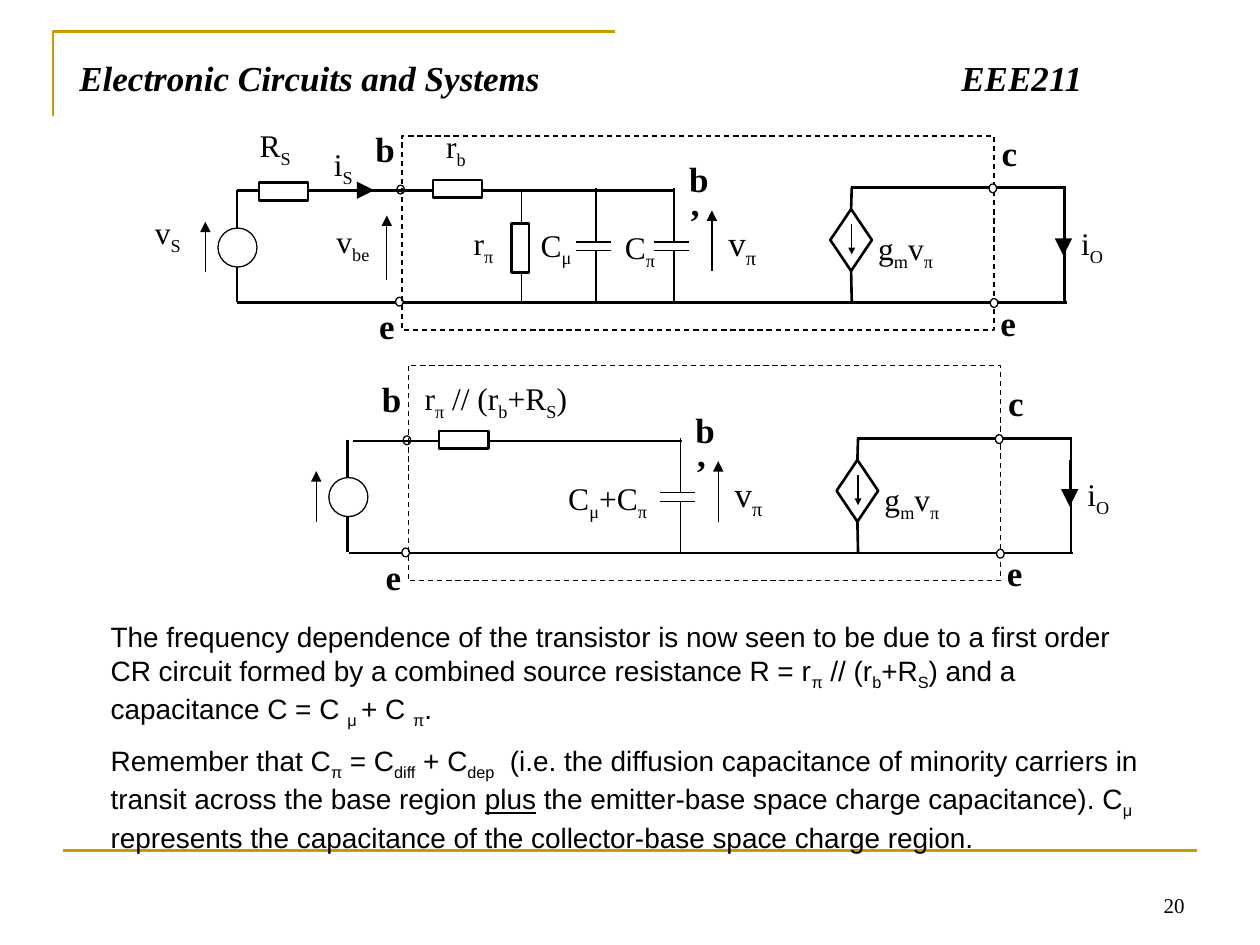
from lxml.etree import SubElement
from pptx import Presentation
from pptx.dml.color import RGBColor
from pptx.enum.dml import MSO_LINE
from pptx.enum.shapes import MSO_CONNECTOR, MSO_SHAPE
from pptx.enum.text import MSO_ANCHOR, MSO_AUTO_SIZE, PP_ALIGN
from pptx.oxml.ns import qn
from pptx.util import Inches, Pt

BLACK = RGBColor(0x00, 0x00, 0x00)
WHITE = RGBColor(0xFF, 0xFF, 0xFF)
GOLD = RGBColor(0xCC, 0x99, 0x00)
SERIF = "Times New Roman"
SANS = "Arial"
THIN, THICK = 0.75, 1.5


class CircuitSlide:
    """Draws circuit parts on a slide, measured in inches from an origin."""

    def __init__(self, slide):
        self.slide = slide
        self.origin = (0, 0)

    def place(self, x, y):
        return Inches(x + self.origin[0]), Inches(y + self.origin[1])

    def title(self, text, left, top, width, height, tab):
        shape = self.slide.shapes.title
        shape.left, shape.top = Inches(left), Inches(top)
        shape.width, shape.height = Inches(width), Inches(height)
        frame = shape.text_frame
        frame.text = text
        frame.vertical_anchor = MSO_ANCHOR.TOP
        frame.auto_size = MSO_AUTO_SIZE.NONE
        paragraph = frame.paragraphs[0]
        paragraph.alignment = PP_ALIGN.LEFT
        tabs = SubElement(paragraph._p.get_or_add_pPr(), qn("a:tabLst"))
        SubElement(tabs, qn("a:tab"), pos=str(Inches(tab)), algn="l")
        self.style(paragraph, SERIF, 20, bold=True)
        paragraph.font.italic = True

    def style(self, paragraph, name, size, bold=False):
        font = paragraph.font
        font.name, font.size, font.bold = name, Pt(size), bold
        font.color.rgb = BLACK

    def text(self, paragraphs, left, top, width, height, name=SERIF, size=18,
             bold=False, inset=0.0, space=0):
        """|x| marks a subscript and _x_ an underlined word."""
        box = self.slide.shapes.add_textbox(
            *self.place(left, top), Inches(width), Inches(height))
        frame = box.text_frame
        frame.word_wrap = True
        frame.margin_left = frame.margin_right = Inches(inset)
        frame.margin_top = frame.margin_bottom = Inches(inset / 2)
        for number, content in enumerate(paragraphs):
            paragraph = frame.add_paragraph() if number else frame.paragraphs[0]
            if number:
                paragraph.space_before = Pt(space)
            self.style(paragraph, name, size, bold)
            for level, chunk in enumerate(content.split("|")):
                for mark, piece in enumerate(chunk.split("_")):
                    if not piece:
                        continue
                    run = paragraph.add_run()
                    run.text = piece
                    if level % 2:
                        run._r.get_or_add_rPr().set("baseline", "-25000")
                    if mark % 2:
                        run.font.underline = True
        return box

    def label(self, text, left, top, width=0.42):
        self.text([text], left, top, width, 0.3)

    def node(self, text, left, top, width=0.15):
        self.text([text], left, top, width, 0.33, size=20, bold=True)

    def wire(self, x1, y1, x2, y2, weight=THICK, color=BLACK):
        line = self.slide.shapes.add_connector(
            MSO_CONNECTOR.STRAIGHT, *self.place(x1, y1), *self.place(x2, y2))
        line.line.width = Pt(weight)
        line.line.color.rgb = color
        SubElement(line._element.spPr, qn("a:effectLst"))
        return line

    def arrow(self, x1, y1, x2, y2, head="med"):
        line = self.wire(x1, y1, x2, y2, THIN)
        SubElement(line.line._get_or_add_ln(), qn("a:tailEnd"),
                   type="triangle", w=head, len=head)

    def shape(self, kind, left, top, width, height, weight=THIN, filled=True):
        shape = self.slide.shapes.add_shape(
            kind, *self.place(left, top), Inches(width), Inches(height))
        shape.shadow.inherit = False
        if filled:
            shape.fill.solid()
            shape.fill.fore_color.rgb = WHITE
        else:
            shape.fill.background()
        shape.line.color.rgb = BLACK
        shape.line.width = Pt(weight)
        return shape

    def resistor(self, x, y, width=0.39, height=0.14):
        self.shape(MSO_SHAPE.RECTANGLE, x - width / 2, y - height / 2,
                   width, height, THICK)

    def terminal(self, x, y):
        self.shape(MSO_SHAPE.OVAL, x - 0.03, y - 0.03, 0.06, 0.07)

    def capacitor(self, x):
        self.wire(x, 1.49, x, 1.92, THIN)
        self.wire(x, 1.99, x, 2.41, THIN)
        for y in (1.92, 1.99):
            self.wire(x + 0.12, y, x - 0.16, y, THIN)

    def voltage_source(self, x, top):
        self.wire(x, top, x, top + 0.89)
        self.shape(MSO_SHAPE.OVAL, x - 0.15, top + 0.3, 0.31, 0.31)
        self.arrow(x - 0.25, top + 0.65, x - 0.25, top + 0.25)

    def dashed_box(self, left, top, right, bottom):
        box = self.shape(MSO_SHAPE.RECTANGLE, left, top, right - left,
                         bottom - top, filled=False)
        box.line.dash_style = MSO_LINE.DASH

    def frame_corner(self, points):
        builder = self.slide.shapes.build_freeform(
            *(Inches(value) for value in points[0]))
        builder.add_line_segments(
            [(Inches(x), Inches(y)) for x, y in points[1:]], close=False)
        shape = builder.convert_to_shape()
        shape.shadow.inherit = False
        shape.fill.background()
        shape.line.color.rgb = GOLD
        shape.line.width = Pt(THICK)

    def transistor(self, ground_left, input_left, box_top):
        """The parts that both equivalent circuits share."""
        # Rails and input terminals
        self.wire(ground_left, 2.4, 8.47, 2.4)
        self.terminal(3.18, 1.5)
        self.terminal(3.17, 2.39)
        self.wire(5.36, 1.51, input_left, 1.51)
        self.node("b", 2.98, 1.01)
        self.node("e", 3.01, 2.42, 0.09)
        # Base capacitor and its voltage
        self.capacitor(5.35)
        self.node("b’", 5.47, 1.25, 0.24)
        self.arrow(5.65, 2.15, 5.65, 1.67)
        self.text(["v|π|"], 5.78, 1.76, 0.29, 0.33, size=20)
        # Controlled current source
        diamond = self.shape(MSO_SHAPE.DIAMOND, 6.59, 1.66, 0.33, 0.49, THICK)
        self.wire(6.76, 1.66, 6.76, 1.49).begin_connect(diamond, 0)
        self.wire(6.76, 2.15, 6.76, 2.39).begin_connect(diamond, 2)
        self.arrow(6.76, 1.78, 6.76, 2.02, "sm")
        self.label("g|m|v|π|", 6.97, 1.82, 0.57)
        # Output side
        self.wire(6.75, 1.49, 8.45, 1.49)
        self.wire(8.45, 1.48, 8.45, 2.41)
        self.arrow(8.44, 1.66, 8.44, 2.03, "lg")
        self.label("i|O|", 8.58, 1.78, 0.26)
        self.node("c", 7.95, 1.04, 0.12)
        self.node("e", 7.94, 2.39, 0.09)
        self.dashed_box(3.19, box_top, 7.89, 2.62)
        self.terminal(7.88, 1.49)
        self.terminal(7.89, 2.4)


presentation = Presentation()
presentation.slide_width, presentation.slide_height = Inches(10), Inches(7.5)
slide = presentation.slides.add_slide(presentation.slide_layouts[5])
circuit = CircuitSlide(slide)

# Frame, title and page number
circuit.frame_corner([(0.42, 0.92), (0.42, 0.25), (4.88, 0.25)])
circuit.wire(0.5, 6.75, 9.5, 6.75, color=GOLD)
circuit.title("Electronic Circuits and Systems\tEEE211", 0.53, 0.4, 8.92, 0.61, tab=7)
number = circuit.text(["20"], 7.17, 6.83, 2.33, 0.5, size=12, inset=0.1)
number.text_frame.vertical_anchor = MSO_ANCHOR.BOTTOM
number.text_frame.paragraphs[0].alignment = PP_ALIGN.RIGHT

# Explanation
circuit.text([
    "The frequency dependence of the transistor is now seen to be due to a first "
    "order CR circuit formed by a combined source resistance R = r|π| // (r|b|+R|S|) "
    "and a capacitance C = C |μ |+ C |π|.",
    "Remember that C|π| = C|diff| + C|dep|  (i.e. the diffusion capacitance of "
    "minority carriers in transit across the base region _plus_ the emitter-base "
    "space charge capacitance). C|μ| represents the capacitance of the "
    "collector-base space charge region.",
], 0.78, 4.87, 8.49, 1.84, name=SANS, size=16, inset=0.1, space=8)

# Full circuit
circuit.transistor(ground_left=1.88, input_left=1.88, box_top=1.08)
circuit.voltage_source(1.88, 1.51)
circuit.resistor(2.25, 1.52)
circuit.resistor(3.63, 1.5)
circuit.wire(4.14, 2.39, 4.14, 1.51, THIN)
circuit.resistor(4.13, 1.97, 0.14, 0.39)
circuit.capacitor(4.73)
circuit.arrow(2.6, 1.51, 2.97, 1.51, "lg")
circuit.arrow(3.07, 2.22, 3.07, 1.71)
for name, left, top in [
    ("v|S|", 1.23, 1.69), ("R|S|", 2.06, 1.0), ("i|S|", 2.65, 1.15),
    ("v|be|", 2.67, 1.76), ("r|b|", 3.54, 1.01), ("r|π|", 3.76, 1.78),
    ("C|μ|", 4.29, 1.79), ("C|π|", 4.96, 1.81),
]:
    circuit.label(name, left, top)

# Simplified circuit
circuit.origin = (0.05, 1.99)
circuit.transistor(ground_left=2.72, input_left=2.75, box_top=0.91)
circuit.voltage_source(2.71, 1.5)
circuit.resistor(3.63, 1.5)
circuit.label("r|π| // (r|b|+R|S|)", 3.32, 1.02, 1.4)
circuit.label("C|μ|+C|π|", 4.46, 1.81, 0.71)

presentation.save("out.pptx")
